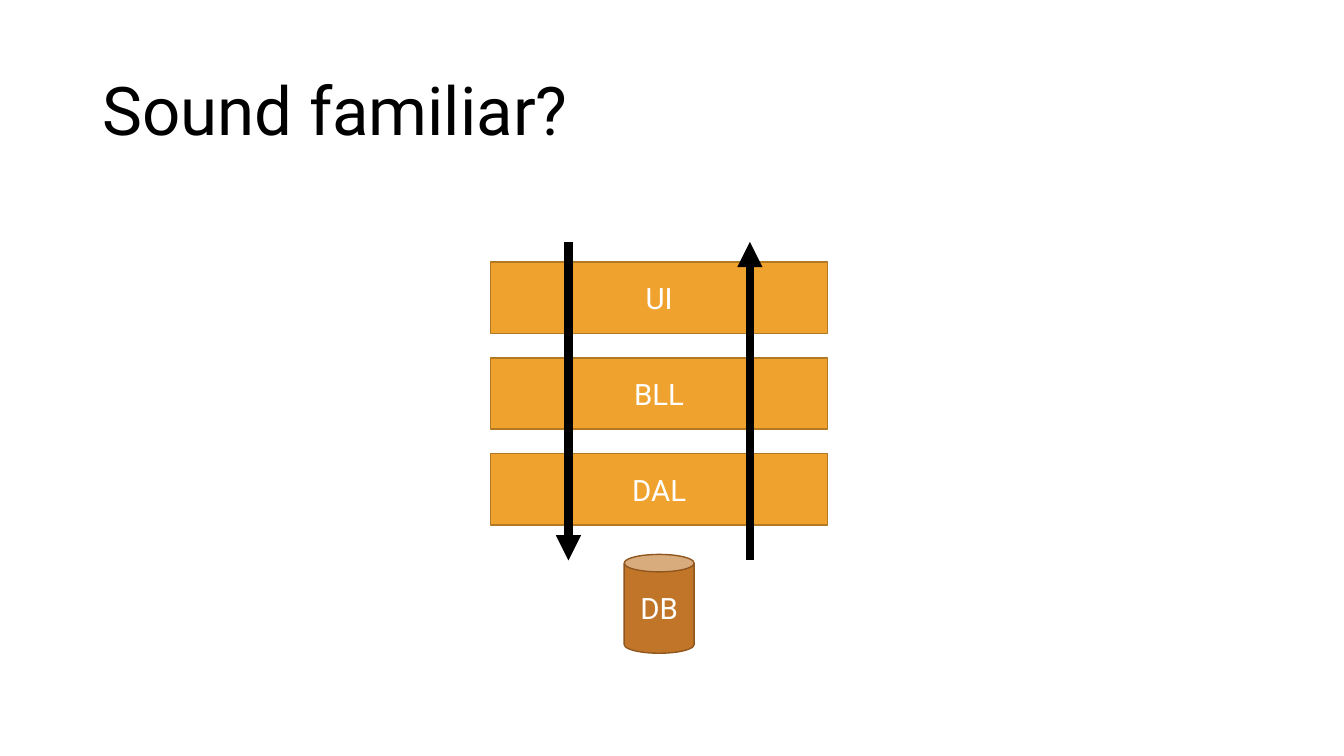
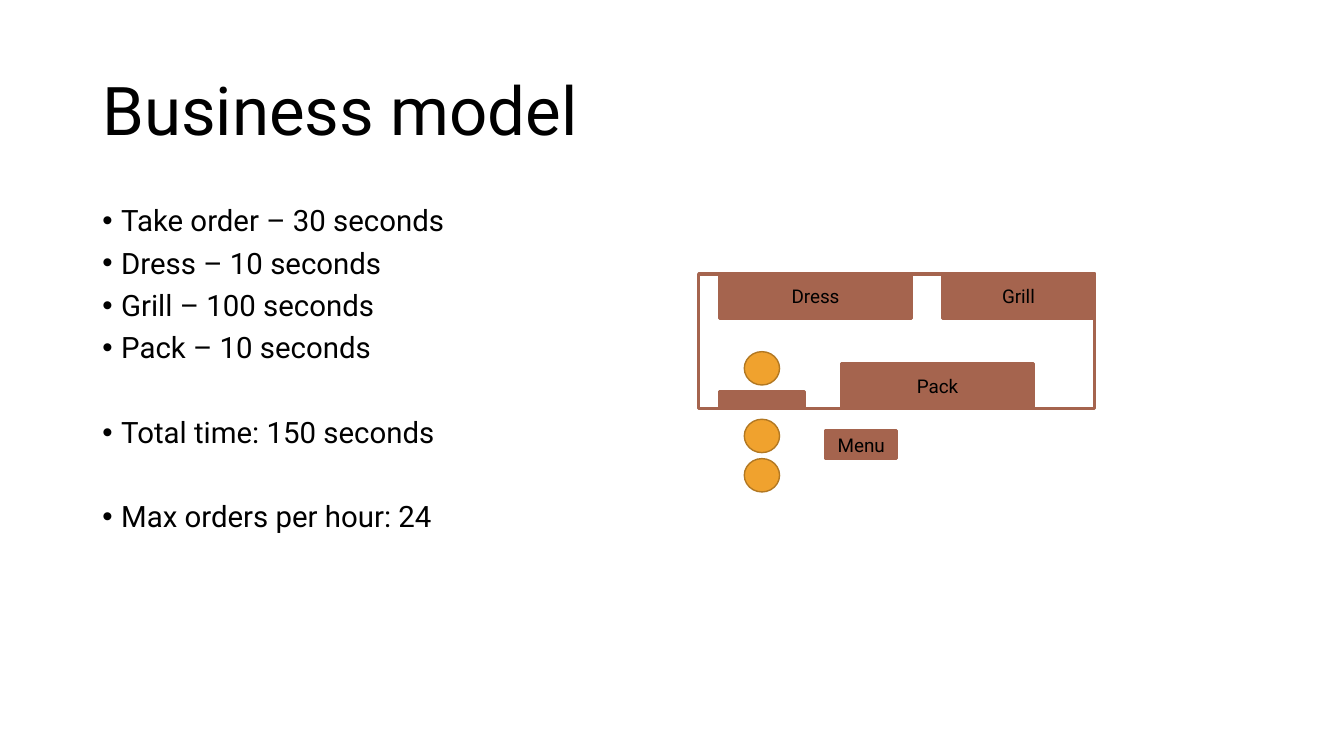
from dataclasses import dataclass

from pptx import Presentation
from pptx.dml.color import RGBColor
from pptx.enum.shapes import MSO_CONNECTOR, MSO_SHAPE
from pptx.enum.text import MSO_ANCHOR, PP_ALIGN
from pptx.oxml.ns import qn
from pptx.util import Pt
from lxml.etree import SubElement


@dataclass(frozen=True)
class Style:
    fill: str
    line: str
    line_width: float
    text: str
    size: float


@dataclass(frozen=True)
class Theme:
    font: str = "Roboto"
    text: str = "000000"
    title_size: float = 48
    body_size: float = 21
    line_spacing: float = 0.9
    item_gap: float = 7.5
    section_gap: float = 37.7
    bullet_indent: float = 13.5
    arrow_width: float = 6
    layer: Style = Style("F0A22E", "B27822", 1, "FFFFFF", 21)
    database: Style = Style("C17529", "8F571E", 1, "FFFFFF", 21)
    room: Style = Style("FFFFFF", "A5644E", 2.25, "000000", 13.5)
    station: Style = Style("A5644E", "A5644E", 2.25, "000000", 13.5)


THEME = Theme()
SLIDE_SIZE = (960, 540)
TITLE_BOX = (66, 29, 828, 104)
BODY_BOX = (66, 144, 828, 343)


def set_font(paragraph, size, color):
    paragraph.font.name = THEME.font
    paragraph.font.size = Pt(size)
    paragraph.font.color.rgb = RGBColor.from_string(color)


def add_block(shapes, kind, box, style, label=""):
    """Add a filled, outlined shape with an optional centred label."""
    shape = shapes.add_shape(kind, *map(Pt, box))
    shape.shadow.inherit = False
    shape.fill.solid()
    shape.fill.fore_color.rgb = RGBColor.from_string(style.fill)
    shape.line.color.rgb = RGBColor.from_string(style.line)
    shape.line.width = Pt(style.line_width)
    if label:
        frame = shape.text_frame
        frame.margin_left = frame.margin_right = 0
        frame.vertical_anchor = MSO_ANCHOR.MIDDLE
        paragraph = frame.paragraphs[0]
        paragraph.text = label
        paragraph.alignment = PP_ALIGN.CENTER
        set_font(paragraph, style.size, style.text)


def add_arrow(shapes, x, start_y, end_y):
    """Add a vertical arrow pointing at end_y."""
    arrow = shapes.add_connector(
        MSO_CONNECTOR.STRAIGHT, Pt(x), Pt(start_y), Pt(x), Pt(end_y))
    arrow.line.color.rgb = RGBColor.from_string(THEME.text)
    arrow.line.width = Pt(THEME.arrow_width)
    SubElement(arrow.line._get_or_add_ln(), qn("a:tailEnd"), type="triangle")
    SubElement(arrow._element.spPr, qn("a:effectLst"))


def add_text_box(slide, box):
    frame = slide.shapes.add_textbox(*map(Pt, box)).text_frame
    frame.word_wrap = True
    return frame


def add_titled_slide(presentation, title):
    slide = presentation.slides.add_slide(presentation.slide_layouts[6])
    frame = add_text_box(slide, TITLE_BOX)
    frame.vertical_anchor = MSO_ANCHOR.MIDDLE
    paragraph = frame.paragraphs[0]
    paragraph.text = title
    paragraph.line_spacing = THEME.line_spacing
    set_font(paragraph, THEME.title_size, THEME.text)
    return slide


def add_bullets(slide, box, sections):
    """Add bulleted items, with a wider gap between sections."""
    frame = add_text_box(slide, box)
    for section_index, section in enumerate(sections):
        for item_index, item in enumerate(section):
            first = section_index == item_index == 0
            paragraph = frame.paragraphs[0] if first else frame.add_paragraph()
            paragraph.text = item
            paragraph.line_spacing = THEME.line_spacing
            if not first:
                gap = THEME.item_gap if item_index else THEME.section_gap
                paragraph.space_before = Pt(gap)
            properties = paragraph._p.get_or_add_pPr()
            properties.set("marL", str(Pt(THEME.bullet_indent)))
            properties.set("indent", str(-Pt(THEME.bullet_indent)))
            SubElement(properties, qn("a:buFont"), typeface="Arial")
            SubElement(properties, qn("a:buChar"), char="•")
            set_font(paragraph, THEME.body_size, THEME.text)


def add_layer_diagram(slide, box, labels):
    """Stack the layers over a database, with a request and a reply arrow."""
    left, top, width, height = box
    layer_height, pitch = 51, 68.4
    can_width, can_height = 50, 70.6
    overhang, arrow_length, arrow_offset = 14.4, 227.5, 64.8
    center = left + width / 2

    for index, label in enumerate(labels):
        add_block(slide.shapes, MSO_SHAPE.RECTANGLE,
                  (left, top + index * pitch, width, layer_height),
                  THEME.layer, label)
    add_block(slide.shapes, MSO_SHAPE.CAN,
              (center - can_width / 2, top + height - can_height,
               can_width, can_height), THEME.database, "DB")

    arrow_top = top - overhang
    arrow_bottom = arrow_top + arrow_length
    add_arrow(slide.shapes, center - arrow_offset, arrow_top, arrow_bottom)
    add_arrow(slide.shapes, center + arrow_offset, arrow_bottom, arrow_top)


def add_kitchen_plan(slide, box):
    """Draw the room, its stations along the walls and the people."""
    left, top, width, height = box
    station_width, station_height = 137, 31.8
    grill_width, counter_left, counter_width, counter_height = 109, 15, 60.5, 12.2
    person_width, person_height = 25.2, 23.8
    shapes = slide.shapes.add_group_shape().shapes
    add_block(shapes, MSO_SHAPE.RECTANGLE, box, THEME.room)

    # Stations, relative to the room
    stations = [
        ("", counter_left, height - counter_height, counter_width, counter_height),
        ("Dress", counter_left, 0, station_width, station_height),
        ("Pack", 102.2, height - station_height, station_width, station_height),
        ("Grill", width - grill_width, 0, grill_width, station_height),
        ("Menu", 91, 111.6, 50.4, 20.2),
    ]
    for label, x, y, station_w, station_h in stations:
        add_block(shapes, MSO_SHAPE.RECTANGLE,
                  (left + x, top + y, station_w, station_h),
                  THEME.station, label)

    # One person behind the counter, two queueing in front
    person_left = left + counter_left + (counter_width - person_width) / 2
    for y in (55.4, 103.7, 131.8):
        add_block(shapes, MSO_SHAPE.OVAL,
                  (person_left, top + y, person_width, person_height),
                  THEME.layer)


def main():
    presentation = Presentation()
    presentation.slide_width, presentation.slide_height = map(Pt, SLIDE_SIZE)

    slide = add_titled_slide(presentation, "Sound familiar?")
    add_layer_diagram(slide, (350.6, 187.2, 240.5, 279.4), ["UI", "BLL", "DAL"])

    slide = add_titled_slide(presentation, "Business model")
    add_bullets(slide, BODY_BOX, [
        ["Take order – 30 seconds", "Dress – 10 seconds",
         "Grill – 100 seconds", "Pack – 10 seconds"],
        ["Total time: 150 seconds"],
        ["Max orders per hour: 24"],
    ])
    add_kitchen_plan(slide, (499, 195.8, 283, 95.8))

    presentation.save("out.pptx")


if __name__ == "__main__":
    main()
